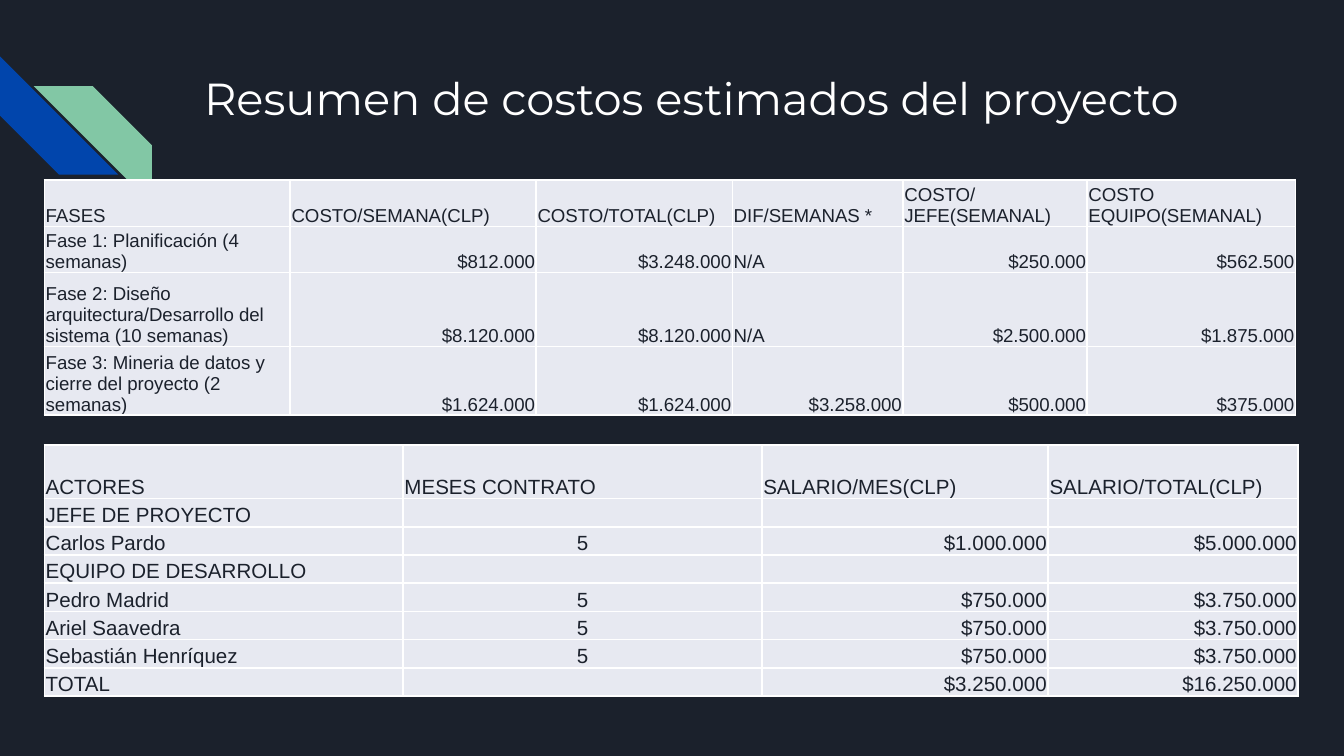
import pptx
import pptx.util
import pptx.dml.color
import pptx.enum.shapes
import pptx.enum.text
import pptx.oxml
import pptx.oxml.ns
import lxml.etree

Inches = pptx.util.Inches
Pt = pptx.util.Pt
Align = pptx.enum.text.PP_ALIGN

COLORS = {
    "background": "1B212C",
    "blue": "0145AC",
    "green": "82C7A5",
    "cell": "E7E9F1",
    "ink": "1B212C",
    "white": "FFFFFF",
}

PHASES = [
    ["FASES", "COSTO/SEMANA(CLP)", "COSTO/TOTAL(CLP)", "DIF/SEMANAS *",
     "COSTO/JEFE(SEMANAL)", "COSTO EQUIPO(SEMANAL)"],
    ["Fase 1: Planificación (4 semanas)", "$812.000", "$3.248.000", "N/A",
     "$250.000", "$562.500"],
    ["Fase 2: Diseño arquitectura/Desarrollo del sistema (10 semanas)",
     "$8.120.000", "$8.120.000", "N/A", "$2.500.000", "$1.875.000"],
    ["Fase 3: Mineria de datos y cierre del proyecto (2 semanas)",
     "$1.624.000", "$1.624.000", "$3.258.000", "$500.000", "$375.000"],
]

TEAM = ["Pedro Madrid", "Ariel Saavedra", "Sebastián Henríquez"]
SALARIES = [
    ["ACTORES", "MESES CONTRATO", "SALARIO/MES(CLP)", "SALARIO/TOTAL(CLP)"],
    ["JEFE DE PROYECTO", "", "", ""],
    ["Carlos Pardo", "5", "$1.000.000", "$5.000.000"],
    ["EQUIPO DE DESARROLLO", "", "", ""],
    *[[name, "5", "$750.000", "$3.750.000"] for name in TEAM],
    ["TOTAL", "", "$3.250.000", "$16.250.000"],
]


def rgb(name):
    return pptx.dml.color.RGBColor.from_string(COLORS[name])


def alignment_for(text):
    if text.startswith("$"):
        return Align.RIGHT
    return Align.CENTER if text.isdigit() else Align.LEFT


class SlideBuilder:
    def __init__(self, page):
        self.page = page
        page.background.fill.solid()
        page.background.fill.fore_color.rgb = rgb("background")

    def style(self, para, size, font, color):
        para.font.size = Pt(size)
        para.font.name = font
        para.font.color.rgb = rgb(color)

    def stripe(self, left, top, size, color, rotation=0, mirrored=False):
        shape = self.page.shapes.add_shape(
            pptx.enum.shapes.MSO_SHAPE.DIAGONAL_STRIPE,
            Inches(left), Inches(top), Inches(size), Inches(size))
        shape.adjustments[0] = 0.5
        shape.rotation = rotation
        shape.shadow.inherit = False
        shape.fill.solid()
        shape.fill.fore_color.rgb = rgb(color)
        shape.line.fill.background()
        if mirrored:
            shape.element.spPr.xfrm.set("flipH", "1")

    def title(self, text, left, top, width, height):
        box = self.page.shapes.add_textbox(
            Inches(left), Inches(top), Inches(width), Inches(height))
        frame = box.text_frame
        frame.word_wrap = True
        frame.margin_left = frame.margin_right = Inches(0.1)
        frame.margin_top = frame.margin_bottom = Inches(0.1)
        para = frame.paragraphs[0]
        para.text = text
        self.style(para, 24, "Montserrat", "white")

    def borders(self, cell):
        properties = cell._tc.get_or_add_tcPr()
        for side in ("lnL", "lnR", "lnT", "lnB"):
            line = lxml.etree.SubElement(
                properties, pptx.oxml.ns.qn(f"a:{side}"), w=str(Pt(1)))
            fill = lxml.etree.SubElement(line, pptx.oxml.ns.qn("a:solidFill"))
            lxml.etree.SubElement(
                fill, pptx.oxml.ns.qn("a:srgbClr"), val=COLORS["white"])

    def cell(self, cell, text, size):
        self.borders(cell)
        cell.fill.solid()
        cell.fill.fore_color.rgb = rgb("cell")
        cell.vertical_anchor = pptx.enum.text.MSO_ANCHOR.BOTTOM
        cell.margin_left = cell.margin_right = cell.margin_top = Inches(0.01)
        cell.margin_bottom = 0
        para = cell.text_frame.paragraphs[0]
        para.alignment = alignment_for(text)
        self.style(para, size, "Arial", "ink")
        if text:
            para.add_run().text = text
        else:
            lxml.etree.SubElement(
                para._p, pptx.oxml.ns.qn("a:endParaRPr"), sz=str(size * 100))

    def table(self, rows, left, top, widths, heights, size):
        table = self.page.shapes.add_table(
            len(rows), len(widths), Inches(left), Inches(top),
            Inches(sum(widths)), Inches(sum(heights))).table
        table.first_row = table.horz_banding = False
        for column, width in zip(table.columns, widths):
            column.width = Inches(width)
        for row, height, texts in zip(table.rows, heights, rows):
            row.height = Inches(height)
            for cell, text in zip(row.cells, texts):
                self.cell(cell, text, size)


def main():
    deck = pptx.Presentation()
    deck.slide_width = Inches(10)
    deck.slide_height = deck.slide_width * 9 // 16
    builder = SlideBuilder(deck.slides.add_slide(deck.slide_layouts[6]))
    builder.stripe(0, 0.42, 0.88, "blue", rotation=270)
    builder.stripe(0.25, 0.64, 0.88, "green", mirrored=True)
    builder.title("Resumen de costos estimados del proyecto", 1.42, 0.43, 7.7, 1)
    builder.table(PHASES, 0.33, 1.34,
                  [1.83, 1.83, 1.46, 1.27, 1.37, 1.55],
                  [0.18, 0.22, 0.55, 0.36], 10)
    builder.table(SALARIES, 0.33, 3.31,
                  [2.67, 2.67, 2.13, 1.86], [0.4] + [0.21] * 7, 11)
    deck.save("out.pptx")


if __name__ == "__main__":
    main()
